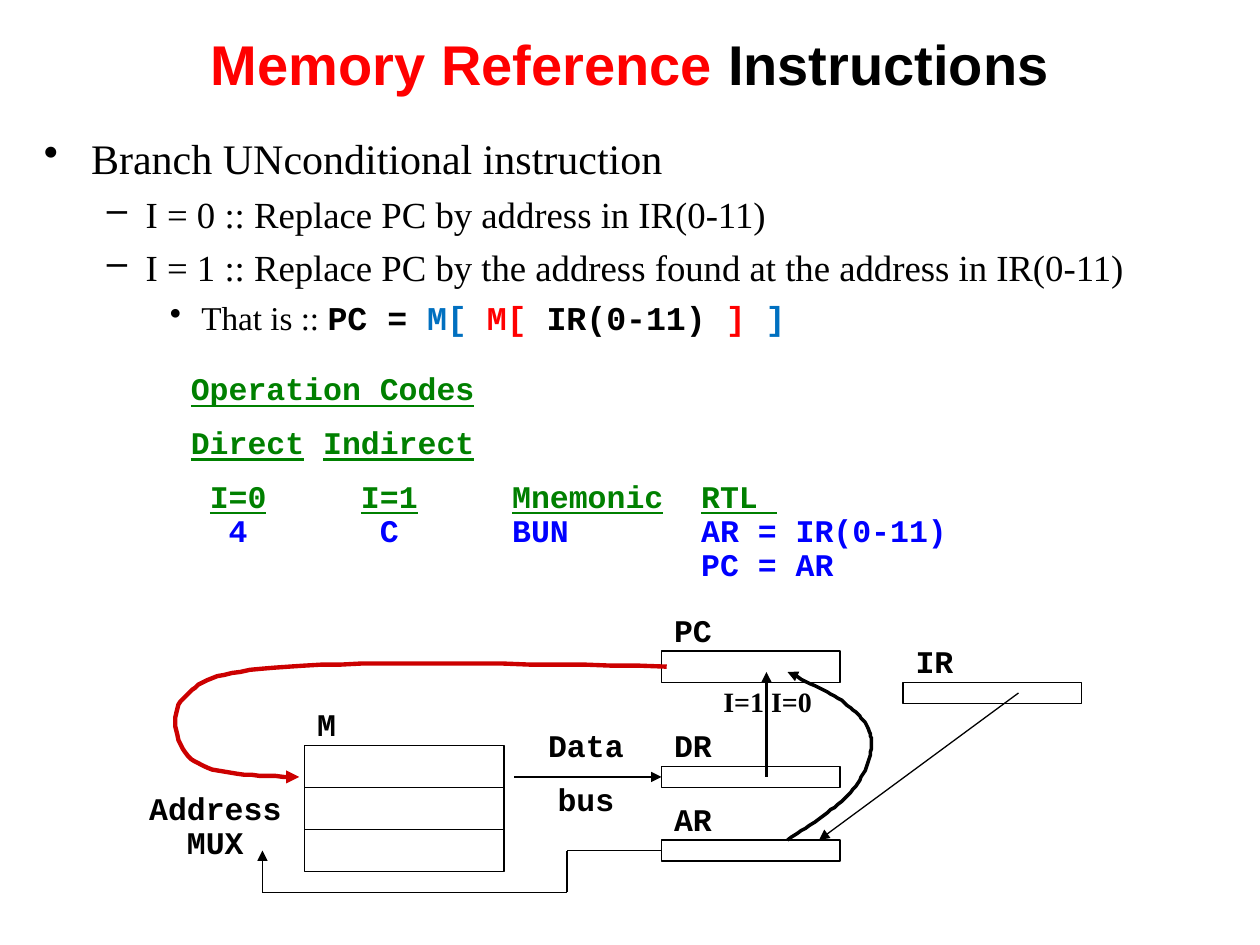
import functools
import itertools

import pptx
import pptx.dml.color
import pptx.enum.shapes
import pptx.enum.text
import pptx.oxml.ns
import pptx.util
from lxml import etree

RGB = pptx.dml.color.RGBColor
BLACK = RGB(0x00, 0x00, 0x00)
RED = RGB(0xFF, 0x00, 0x00)
CRIMSON = RGB(0xCC, 0x00, 0x00)
BLUE = RGB(0x00, 0x00, 0xFF)
SKY = RGB(0x00, 0x70, 0xC0)
GREEN = RGB(0x00, 0x80, 0x00)

SANS, SERIF, MONO = "Arial", "Times New Roman", "Courier New"
CENTER = pptx.enum.text.PP_ALIGN.CENTER


def px(length):
    """Turn px, 120 to the inch, into EMU."""
    return pptx.util.Emu(length * 7620)


def child(parent, tag, **attributes):
    """Append a DrawingML element to a parent."""
    return etree.SubElement(parent, pptx.oxml.ns.qn("a:" + tag), attributes)


def bezier(start, segments, steps=16):
    """Return the points along a chain of cubic curves."""
    points = [start]
    for first, second, end in segments:
        corners = (points[-1], first, second, end)
        for step in range(1, steps + 1):
            t = step / steps
            weights = ((1 - t) ** 3, 3 * t * (1 - t) ** 2, 3 * t * t * (1 - t), t ** 3)
            points.append(tuple(sum(w * corner[axis] for w, corner in zip(weights, corners))
                                for axis in (0, 1)))
    return points


class Diagram:
    """Holds the current slide and the style of its elements."""

    levels = (("•", 24, 45, -45, 0), ("–", 21, 97, -37, 5.2), ("•", 19, 150, -30, 4.8))

    def __init__(self, slide):
        self.slide = slide

    def box(self, left, top, width, height, wrap=True):
        frame = self.slide.shapes.add_textbox(px(left), px(top), px(width), px(height)).text_frame
        frame.word_wrap = wrap
        return frame

    def font(self, paragraph, size, name=None, color=None, bold=None):
        font = paragraph.font
        font.size = pptx.util.Pt(size)
        font.name, font.bold = name, bold
        if color is not None:
            font.color.rgb = color

    def run(self, paragraph, text, color=None, name=None, bold=None, underline=None):
        run = paragraph.add_run()
        run.text = text
        run.font.name, run.font.bold, run.font.underline = name, bold, underline
        if color is not None:
            run.font.color.rgb = color

    def bullet(self, paragraph, level):
        mark, size, margin, indent, before = self.levels[level]
        paragraph.level = level
        paragraph.space_before = pptx.util.Pt(before)
        properties = paragraph._p.get_or_add_pPr()
        properties.set("marL", str(px(margin)))
        properties.set("indent", str(px(indent)))
        child(child(properties, "buClr"), "srgbClr", val=str(BLACK))
        child(properties, "buChar", char=mark)
        self.font(paragraph, size)

    def tabs(self, paragraph, stops):
        stop_list = child(paragraph._p.get_or_add_pPr(), "tabLst")
        for position, align in stops:
            child(stop_list, "tab", pos=str(px(position)), algn=align)

    def label(self, left, top, width, height, lines, size=18, name=MONO):
        frame = self.box(left, top, width, height, wrap=False)
        frame.text = lines
        for index, paragraph in enumerate(frame.paragraphs):
            paragraph.alignment = CENTER
            paragraph.line_spacing = 0.9
            paragraph.space_before = pptx.util.Pt(11.2 if index else 0)
            self.font(paragraph, size, name, BLACK, True)

    def stroke(self, shape, color=BLACK, weight=0.75, arrow=False):
        shape.line.color.rgb = color
        shape.line.width = pptx.util.Pt(weight)
        if arrow:
            child(shape.line._get_or_add_ln(), "tailEnd", type="triangle")

    def register(self, name, left, top, width, height, label_width=60):
        cell = self.slide.shapes.add_shape(
            pptx.enum.shapes.MSO_SHAPE.RECTANGLE, px(left), px(top), px(width), px(height))
        cell.shadow.inherit = False
        cell.fill.background()
        self.stroke(cell)
        self.label(left, top - 40, label_width, 44, name)

    def wire(self, *points, weight=0.75, arrow=True):
        for start, end in itertools.pairwise(points):
            line = self.slide.shapes.add_connector(
                pptx.enum.shapes.MSO_CONNECTOR.STRAIGHT, *map(px, start + end))
            self.stroke(line, weight=weight, arrow=arrow and end == points[-1])
            child(line._element.spPr, "effectLst")

    def curve(self, start, segments, color, weight):
        points = bezier(start, segments)
        builder = self.slide.shapes.build_freeform(*start, scale=px(1))
        builder.add_line_segments(points[1:], close=False)
        path_shape = builder.convert_to_shape()
        path_shape.shadow.inherit = False
        path_shape.fill.background()
        self.stroke(path_shape, color, weight, arrow=True)


def main():
    deck = pptx.Presentation()
    deck.slide_width, deck.slide_height = px(1200), px(900)
    diagram = Diagram(deck.slides.add_slide(deck.slide_layouts[6]))

    title_frame = diagram.box(0, 0, 1200, 120)
    title_frame.vertical_anchor = pptx.enum.text.MSO_ANCHOR.MIDDLE
    title = title_frame.paragraphs[0]
    title.alignment = CENTER
    diagram.font(title, 32, SANS, bold=True)
    diagram.run(title, "Memory Reference ", RED)
    diagram.run(title, "Instructions", BLACK)

    outline = diagram.box(30, 120, 1130, 240)
    points = (
        (0, "Branch UNconditional instruction"),
        (1, "I = 0 :: Replace PC by address in IR(0-11)"),
        (1, "I = 1 :: Replace PC by the address found at the address in IR(0-11)"),
        (2, "That is :: "),
    )
    for index, (level, text) in enumerate(points):
        point = outline.add_paragraph() if index else outline.paragraphs[0]
        diagram.bullet(point, level)
        diagram.run(point, text, BLACK, SERIF)
    formula = (("PC = ", BLACK), ("M[ ", SKY), ("M[", RED), (" IR(0-11) ", BLACK),
               ("] ", RED), ("]", SKY))
    for text, color in formula:
        diagram.run(point, text, color, MONO, True)

    codes = diagram.box(170, 350, 830, 212)
    headings = (("Operation Codes",), ("Direct", " ", "Indirect"),
                ("\t", "I=0", "\t", "I=1", "\t", "Mnemonic", "\t", "RTL "))
    for index, heading in enumerate(headings):
        row = codes.add_paragraph() if index else codes.paragraphs[0]
        row.line_spacing = 0.9
        row.space_before = pptx.util.Pt(11.2 if index else 0)
        diagram.tabs(row, ((45, "ctr"), (189, "ctr"), (306, "l"), (486, "l")))
        diagram.font(row, 18, MONO, bold=True)
        for text in heading:
            diagram.run(row, text, GREEN, underline=bool(text.strip()))
    for line in ("\t4\tC\tBUN\tAR = IR(0-11)", "\t\t\t\tPC = AR"):
        row.add_line_break()
        diagram.run(row, line, BLUE)

    diagram.register("M", 290, 710, 190, 120, label_width=42)
    for divider in (750, 790):
        diagram.wire((290, divider), (480, divider), arrow=False)
    register = functools.partial(diagram.register, width=170)
    register("DR", 630, 730, height=20)
    register("AR", 630, 800, height=20)
    register("PC", 630, 620, height=30)
    register("IR", 860, 650, height=20)

    diagram.wire((630, 810), (540, 810), (540, 850), (250, 850), (250, 810))
    diagram.label(130, 750, 150, 77, "Address\vMUX")
    diagram.wire((490, 740), (630, 740))
    diagram.label(510, 690, 96, 96, "Data\nbus")
    diagram.wire((970, 660), (780, 800))
    diagram.wire((730, 740), (730, 640), weight=2)
    diagram.curve((750, 800), (
        ((773, 785), (797, 769), (810, 755)), ((823, 739), (830, 722), (830, 708)),
        ((830, 695), (823, 685), (810, 674)), ((797, 662), (773, 652), (750, 640))), BLACK, 2)
    diagram.curve((635, 635), (
        ((493, 632), (352, 630), (275, 635)), ((198, 640), (190, 650), (175, 665)),
        ((160, 680), (167, 713), (185, 725)), ((203, 738), (244, 739), (285, 740))), CRIMSON, 2.5)
    diagram.label(668, 650, 126, 41, "I=1 I=0", 16, SERIF)

    deck.save("out.pptx")


if __name__ == "__main__":
    main()
